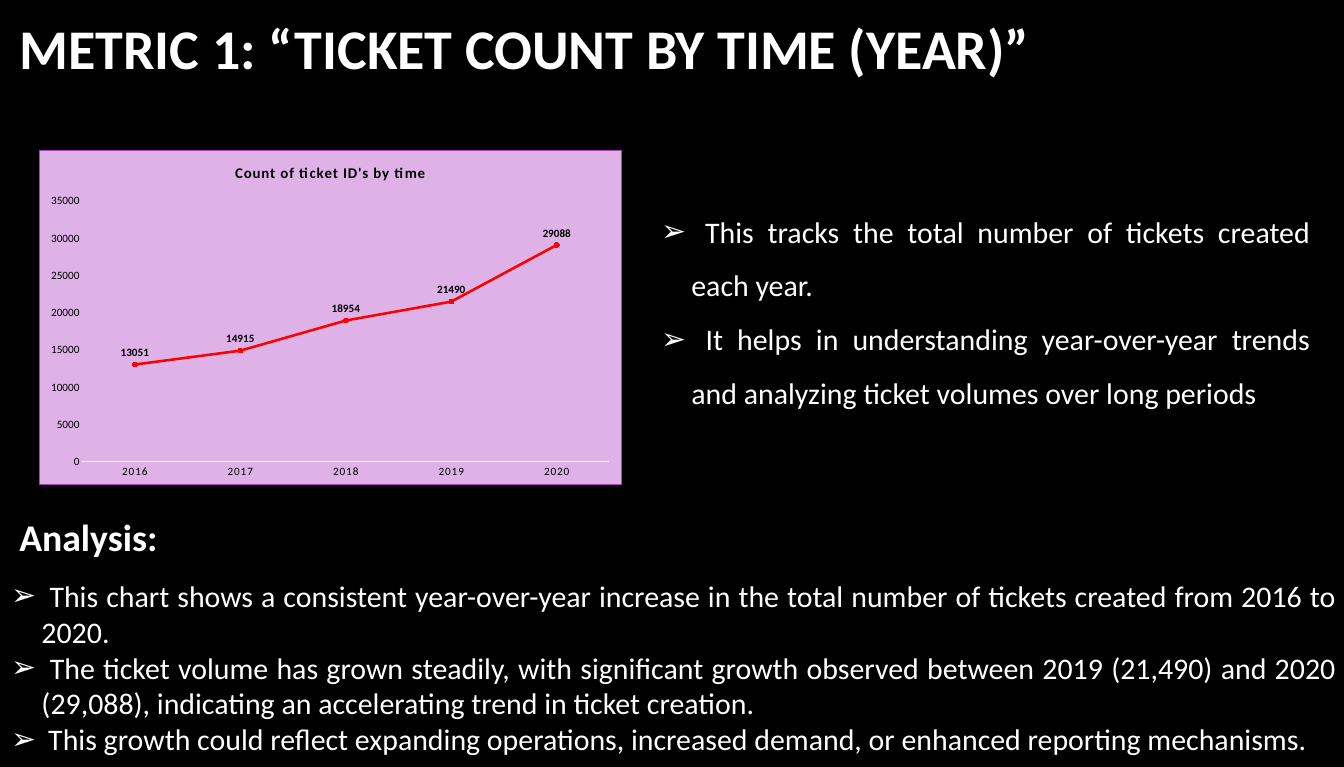
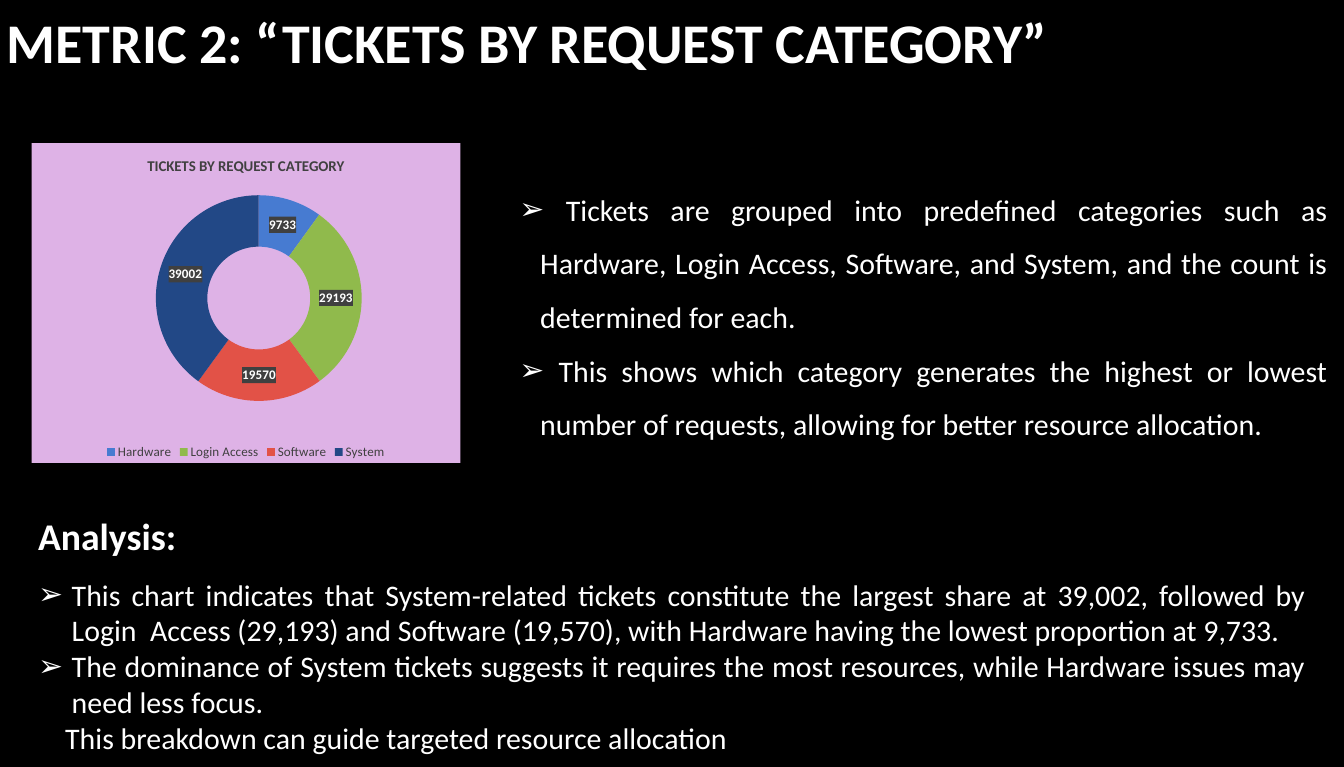
from dataclasses import dataclass

from lxml import etree
from pptx import Presentation
from pptx.chart import data as chart_data
from pptx.dml import color
from pptx.enum import chart as kinds, text
from pptx.oxml import ns, parse_xml
from pptx.util import Pt

# Shared look
FONT = "Calibri"
BLACK = color.RGBColor(0x00, 0x00, 0x00)
WHITE = color.RGBColor(0xFF, 0xFF, 0xFF)
GREY = color.RGBColor(0x40, 0x40, 0x40)
LILAC = color.RGBColor(0xDE, 0xB2, 0xE6)
PURPLE = color.RGBColor(0xAC, 0x3E, 0xC1)
RED = color.RGBColor(0xFF, 0x00, 0x00)
CATEGORY_COLOURS = (
    color.RGBColor(0x47, 0x7B, 0xD1),
    color.RGBColor(0x90, 0xBA, 0x4C),
    color.RGBColor(0xE2, 0x52, 0x47),
    color.RGBColor(0x22, 0x48, 0x86),
)
TITLE_SIZE, HEADING_SIZE, BODY_SIZE = 60, 40.4, 32


@dataclass(frozen=True)
class Area:
    left: float
    top: float
    width: float
    height: float

    def lengths(self) -> tuple:
        return Pt(self.left), Pt(self.top), Pt(self.width), Pt(self.height)


@dataclass(frozen=True)
class TextBlock:
    area: Area
    lines: tuple[str, ...]
    hang: float
    spacing: float = 1.0
    closing: str = ""
    closing_indent: float = 0


@dataclass(frozen=True)
class Metric:
    title: str
    title_area: Area
    description: TextBlock
    heading_area: Area
    analysis: TextBlock
    chart_area: Area
    chart_title: str
    values: dict[str, int]


METRICS = (
    Metric(
        "METRIC 1: “TICKET COUNT BY TIME (YEAR)”",
        Area(13.7, -32.4, 1150, 165.6),
        TextBlock(
            Area(701.3, 205.9, 710, 234),
            (
                " This tracks the total number of tickets created each year.",
                " It helps in understanding year-over-year trends and analyzing "
                "ticket volumes over long periods",
            ),
            hang=32.4, spacing=1.5,
        ),
        Area(13.7, 547.2, 172.8, 56.9),
        TextBlock(
            Area(5, 615.6, 1435, 200.9),
            (
                " This chart shows a consistent year-over-year increase in the total "
                "number of tickets created from 2016 to 2020. ",
                " The ticket volume has grown steadily, with significant growth observed "
                "between 2019 (21,490) and 2020 (29,088), indicating an accelerating "
                "trend in ticket creation.",
                " This growth could reflect expanding operations, increased demand, "
                "or enhanced reporting mechanisms.",
            ),
            hang=32.4,
        ),
        Area(41.8, 160.6, 624.2, 359.3),
        "Count of ticket ID's by time",
        {"2016": 13051, "2017": 14915, "2018": 18954, "2019": 21490, "2020": 29088},
    ),
    Metric(
        "METRIC 2: “TICKETS BY REQUEST CATEGORY”",
        Area(0, -38.9, 1287.4, 165.6),
        TextBlock(
            Area(549.4, 182.2, 880.6, 330.5),
            (
                " Tickets are grouped into predefined categories such as Hardware, Login "
                "Access, Software, and System, and the count is determined for each.",
                " This shows which category generates the highest or lowest number of "
                "requests, allowing for better resource allocation.",
            ),
            hang=22.3, spacing=1.5,
        ),
        Area(33.8, 546.5, 172.8, 56.9),
        TextBlock(
            Area(33.8, 614.2, 1373, 234),
            (
                "This chart indicates that System-related tickets constitute the largest "
                "share at 39,002, followed by Login  Access (29,193) and Software (19,570), "
                "with Hardware having the lowest proportion at 9,733. ",
                "The dominance of System tickets suggests it requires the most resources, "
                "while Hardware issues may need less focus. ",
            ),
            hang=36,
            closing="This breakdown can guide targeted resource allocation",
            closing_indent=29,
        ),
        Area(33.8, 153.4, 459.4, 342.7),
        "TICKETS BY REQUEST CATEGORY",
        {"Hardware": 9733, "Login Access": 29193, "Software": 19570, "System": 39002},
    ),
)


# Text
def style(font, size: float, colour: color.RGBColor, bold: bool = False) -> None:
    font.name, font.size, font.bold = FONT, Pt(size), bold
    font.color.rgb = colour


def add_span(para, words: str, size: float, bold: bool = False) -> None:
    span = para.add_run()
    span.text = words
    style(span.font, size, WHITE, bold)


def set_indent(para, margin: float, first: float, bullet: str = "") -> None:
    properties = para._p.get_or_add_pPr()
    properties.set("marL", str(Pt(margin)))
    properties.set("indent", str(Pt(first)))
    if bullet:
        etree.SubElement(properties, ns.qn("a:buFont"), typeface="Arial")
        etree.SubElement(properties, ns.qn("a:buChar"), char=bullet)


def add_box(page, area: Area):
    frame = page.shapes.add_textbox(*area.lengths()).text_frame
    frame.word_wrap = True
    return frame


def add_block(page, block: TextBlock) -> None:
    frame = add_box(page, block.area)
    lines = block.lines + ((block.closing,) if block.closing else ())
    for number, line in enumerate(lines):
        para = frame.add_paragraph() if number else frame.paragraphs[0]
        para.alignment = text.PP_ALIGN.JUSTIFY
        para.line_spacing = block.spacing
        if number < len(block.lines):
            set_indent(para, block.hang, -block.hang, "➢")
        else:
            set_indent(para, 0, block.closing_indent)
        add_span(para, line, BODY_SIZE)


def set_title(page, metric: Metric) -> None:
    title = page.shapes.title
    title.left, title.top, title.width, title.height = metric.title_area.lengths()
    frame = title.text_frame
    frame.word_wrap = True
    frame.auto_size = text.MSO_AUTO_SIZE.NONE
    frame.vertical_anchor = text.MSO_ANCHOR.MIDDLE
    frame.paragraphs[0].alignment = text.PP_ALIGN.LEFT
    add_span(frame.paragraphs[0], metric.title, TITLE_SIZE, True)


# Charts
def chart_fill(fill: color.RGBColor, border: color.RGBColor | None = None):
    line = f'<a:solidFill><a:srgbClr val="{border}"/></a:solidFill>' if border else "<a:noFill/>"
    return parse_xml(
        f'<c:spPr {ns.nsdecls("c", "a")}><a:solidFill><a:srgbClr val="{fill}"/></a:solidFill>'
        f'<a:ln w="{Pt(1)}">{line}</a:ln></c:spPr>'
    )


def add_chart(page, metric: Metric, kind, title_colour: color.RGBColor,
              border: color.RGBColor | None = None):
    source = chart_data.CategoryChartData()
    source.categories = list(metric.values)
    source.add_series("Series 1", list(metric.values.values()))
    chart = page.shapes.add_chart(kind, *metric.chart_area.lengths(), source).chart
    style(chart.font, 12, BLACK)
    chart.has_title = True
    chart.chart_title.include_in_layout = False
    span = chart.chart_title.text_frame.paragraphs[0].add_run()
    span.text = metric.chart_title
    style(span.font, 16, title_colour, True)
    chart.element.find(ns.qn("c:chart")).addnext(chart_fill(LILAC, border))
    return chart


def add_labels(plot, size: float, colour: color.RGBColor):
    plot.has_data_labels = True
    labels = plot.data_labels
    labels.show_value, labels.show_percentage = True, False
    style(labels.font, size, colour, True)
    return labels


def add_year_chart(page, metric: Metric) -> None:
    chart = add_chart(page, metric, kinds.XL_CHART_TYPE.LINE_MARKERS, BLACK, PURPLE)
    chart.has_legend = False
    for axis in (chart.category_axis, chart.value_axis):
        axis.has_major_gridlines = False
        axis.major_tick_mark = axis.minor_tick_mark = kinds.XL_TICK_MARK.NONE
        style(axis.tick_labels.font, 12, BLACK)
    chart.category_axis.format.line.color.rgb = WHITE
    chart.category_axis.format.line.width = Pt(1)
    values = chart.value_axis
    values.format.line.fill.background()
    values.minimum_scale, values.maximum_scale, values.major_unit = 0, 35000, 5000

    plot = chart.plots[0]
    plot.vary_by_categories = False
    add_labels(plot, 12, BLACK).position = kinds.XL_LABEL_POSITION.ABOVE
    series = plot.series[0]
    series.smooth = False
    series.format.line.color.rgb = RED
    series.format.line.width = Pt(2.75)
    series.marker.style, series.marker.size = kinds.XL_MARKER_STYLE.CIRCLE, 5
    series.marker.format.fill.solid()
    series.marker.format.fill.fore_color.rgb = RED
    series.marker.format.line.color.rgb = RED

    # Wider letter spacing in the title and the years
    span = chart.chart_title.text_frame.paragraphs[0].runs[0]
    span._r.get_or_add_rPr().set("spc", "100")
    for years in chart.category_axis._element.iter(ns.qn("a:defRPr")):
        years.set("spc", "100")


def add_category_chart(page, metric: Metric) -> None:
    chart = add_chart(page, metric, kinds.XL_CHART_TYPE.DOUGHNUT, GREY)
    chart.has_legend = True
    chart.legend.position = kinds.XL_LEGEND_POSITION.BOTTOM
    chart.legend.include_in_layout = False
    style(chart.legend.font, 14, GREY)

    plot = chart.plots[0]
    plot.vary_by_categories = True
    add_labels(plot, 14, WHITE)
    for labels in chart.element.iter(ns.qn("c:dLbls")):
        labels.find(ns.qn("c:txPr")).addprevious(chart_fill(GREY))
    for number, colour in enumerate(CATEGORY_COLOURS):
        piece = plot.series[0].points[number].format
        piece.fill.solid()
        piece.fill.fore_color.rgb = colour
        piece.line.fill.background()

    # Place of the ring inside the chart
    area = chart.element.find(".//" + ns.qn("c:plotArea"))
    for old in area.findall(ns.qn("c:layout")):
        area.remove(old)
    layout = etree.Element(ns.qn("c:layout"))
    manual = etree.SubElement(layout, ns.qn("c:manualLayout"))
    settings = {"layoutTarget": "inner", "xMode": "edge", "yMode": "edge",
                "x": "0.29", "y": "0.16", "w": "0.48", "h": "0.65"}
    for name, value in settings.items():
        etree.SubElement(manual, ns.qn(f"c:{name}"), val=value)
    area.insert(0, layout)


def add_page(deck, metric: Metric, draw_chart) -> None:
    page = deck.slides.add_slide(deck.slide_layouts.get_by_name("Title Only"))
    page.background.fill.solid()
    page.background.fill.fore_color.rgb = BLACK
    set_title(page, metric)
    add_block(page, metric.description)
    heading = add_box(page, metric.heading_area)
    add_span(heading.paragraphs[0], "Analysis:", HEADING_SIZE, True)
    add_block(page, metric.analysis)
    draw_chart(page, metric)


def main() -> None:
    deck = Presentation()
    deck.slide_width, deck.slide_height = Pt(1440), Pt(822.24)
    for metric, draw_chart in zip(METRICS, (add_year_chart, add_category_chart)):
        add_page(deck, metric, draw_chart)
    deck.save("out.pptx")


if __name__ == "__main__":
    main()
